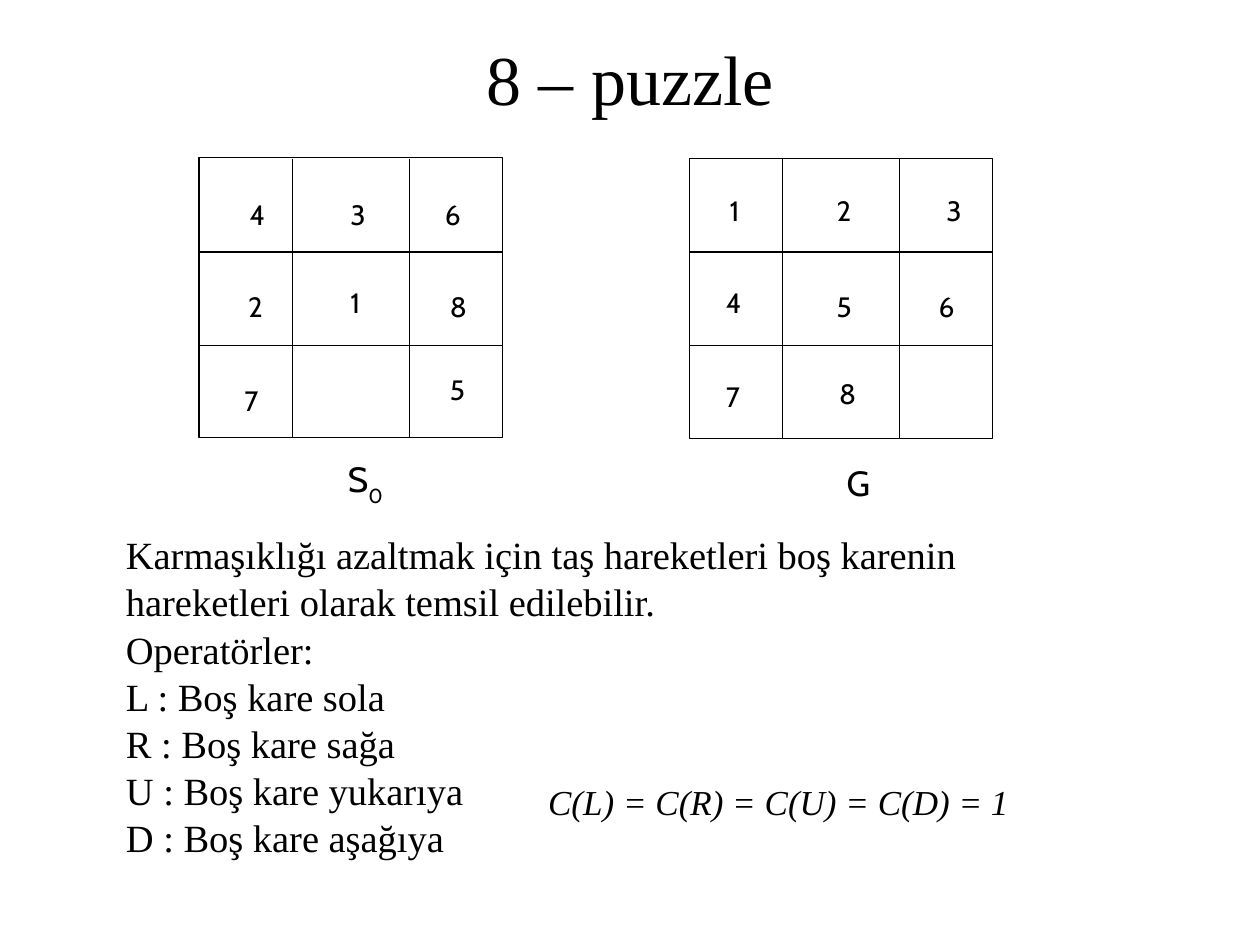
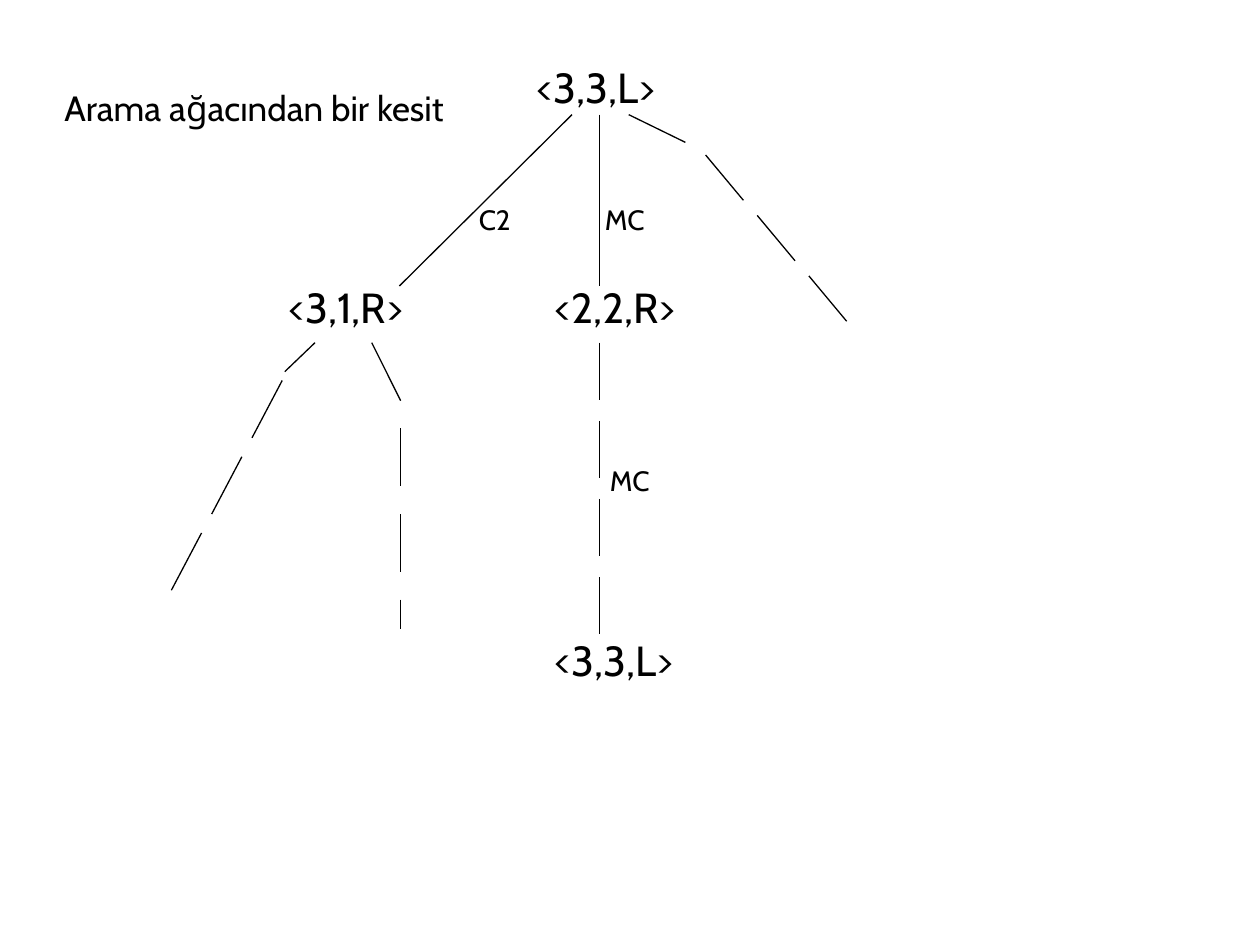
from lxml.etree import SubElement
from pptx import Presentation
from pptx.dml.color import RGBColor as RGB
from pptx.enum.shapes import MSO_CONNECTOR as CONN, MSO_SHAPE as SHAPE
from pptx.enum.text import MSO_ANCHOR as ANCHOR, MSO_AUTO_SIZE as AUTO, PP_ALIGN as ALIGN
from pptx.oxml.ns import qn
from pptx.util import Inches, Pt

INK = {"text": "000000", "line": "000000"}
SERIF, SANS = "Times New Roman", "Cabin"
THIN = Pt(0.75)

deck = Presentation()
deck.slide_width, deck.slide_height = Inches(10), Inches(7.5)
UNIT = deck.slide_width / 100  # the slide is a grid of 100 columns by 75 rows


def put(slide, box, text, size, font=SANS, title=False, space=1.02, align=ALIGN.LEFT):
    """Place text in a grid box, in the title placeholder if asked."""
    left, top, wide, high = (int(n * UNIT) for n in box)
    if title:
        shape = slide.shapes.title
        shape.left, shape.top, shape.width, shape.height = left, top, wide, high
    else:
        shape = slide.shapes.add_textbox(left, top, wide, high)
    frame = shape.text_frame
    frame.text = text
    frame.word_wrap, frame.auto_size = True, AUTO.NONE
    frame.vertical_anchor = ANCHOR.TOP
    frame.margin_left = frame.margin_right = Inches(0.09)
    frame.margin_top = frame.margin_bottom = Inches(0.04)
    for para in frame.paragraphs:
        para.line_spacing, para.alignment = space, align
        for run in para.runs:
            run.font.size, run.font.name = Pt(size), font
            run.font.color.rgb = RGB.from_string(INK["text"])
    return frame.paragraphs[0]


def draw(slide, x1, y1, x2, y2):
    """Draw a thin line between two grid points."""
    ends = [int(n * UNIT) for n in (x1, y1, x2, y2)]
    line = slide.shapes.add_connector(CONN.STRAIGHT, *ends)
    line.line.width = THIN
    line.line.color.rgb = RGB.from_string(INK["line"])
    SubElement(line._element.spPr, qn("a:effectLst"))


# Slide 1: start and goal boards
slide = deck.slides.add_slide(deck.slide_layouts[5])
put(slide, (5.8, 2.3, 88.4, 7.7), "8 – puzzle", 40, SERIF, True, align=ALIGN.CENTER)

WIDE, HIGH = 24.1, 22.2
boards = [
    (15.8, 12.5, [(4, 18.9, 15.2), (3, 26.9, 15.2), (6, 34.4, 15.2),
                  (2, 18.8, 22.5), (1, 26.9, 22.2), (8, 34.8, 22.5),
                  (7, 18.5, 30), (5, 34.8, 29.1)]),
    (54.7, 12.6, [(1, 57, 14.9), (2, 65.5, 14.9), (3, 74.2, 14.9),
                  (4, 56.7, 22.2), (5, 65.5, 22.5), (6, 73.6, 22.5),
                  (7, 56.7, 29.7), (8, 65.7, 29.4)]),
]
for left, top, tiles in boards:
    board = slide.shapes.add_shape(
        SHAPE.RECTANGLE, *(int(n * UNIT) for n in (left, top, WIDE, HIGH)))
    board.shadow.inherit = False
    board.fill.background()
    board.line.width = THIN
    board.line.color.rgb = RGB.from_string(INK["line"])
    for col in (7.4, 16.7):
        draw(slide, left + col, 12.6, left + col, 12.6 + HIGH)
    for row in (1, 2):
        y = 12.6 + row * HIGH / 3
        draw(slide, left, y, left + WIDE, y)
    for tile, x, y in tiles:
        put(slide, (x, y, 3.1, 3.6), str(tile), 16)

start = put(slide, (26.7, 35.8, 5.9, 5), "S", 20)
sub = start.add_run()
sub.text = "0"
sub.font.size, sub.font.name = Pt(20), SANS
sub.font.color.rgb = RGB.from_string(INK["text"])
sub._r.get_or_add_rPr().set("baseline", "-33000")
put(slide, (66.3, 36.2, 3.9, 4.3), "G", 20)

moves = [
    "Karmaşıklığı azaltmak için taş hareketleri boş karenin hareketleri olarak temsil edilebilir.",
    "Operatörler:",
    "L : Boş kare sola",
    "R : Boş kare sağa",
    "U : Boş kare yukarıya",
    "D : Boş kare aşağıya",
]
put(slide, (9.1, 41.7, 72.6, 30.8), "\n".join(moves), 22, SERIF)
cost = put(slide, (42.6, 61.5, 43.1, 4.3), "C(L) = C(R) = C(U) = C(D) = 1", 20, SERIF)
cost.runs[0].font.italic = True

# Slide 2: part of the search tree
slide = deck.slides.add_slide(deck.slide_layouts[5])
put(slide, (4.2, 6.7, 39.2, 4.2), "Arama ağacından bir kesit", 20, title=True, space=0.95)

states = [("<3,3,L>", 41.7, 4.4), ("<3,1,R>", 22, 21.9),
          ("<2,2,R>", 43.1, 21.9), ("<3,3,L>", 43.1, 49.9)]
for state, x, y in states:
    put(slide, (x, y, 15.2, 5), state, 24)

edges = [(45.4, 9.1, 31.7, 22.7), (47.6, 9.1, 47.6, 22.7),
         (49.9, 9.1, 54.4, 11.3), (25, 27.2, 22.6, 29.5),
         (29.5, 27.2, 31.8, 31.8), (31.8, 47.6, 31.8, 49.9)]
for edge in edges:
    draw(slide, *edge)

# Broken branches: first point, dash vector, step between dashes, dash count
chains = [((47.6, 27.2), (0, 4.55), (0, 6.2), 4),
          ((31.8, 34), (0, 4.6), (0, 6.8), 2),
          ((22.4, 30.2), (-2.4, 4.55), (-3.2, 6.05), 3),
          ((56, 12.3), (3, 3.6), (4.1, 4.8), 3)]
for (x, y), (dx, dy), (right, down), count in chains:
    for i in range(count):
        px, py = x + i * right, y + i * down
        draw(slide, px, py, px + dx, py + dy)

for move, x, y in [("C2", 37.1, 15.6), ("MC", 47.1, 15.6), ("MC", 47.5, 36.3)]:
    put(slide, (x, y, 6.8, 3.6), move, 16)

deck.save("out.pptx")
